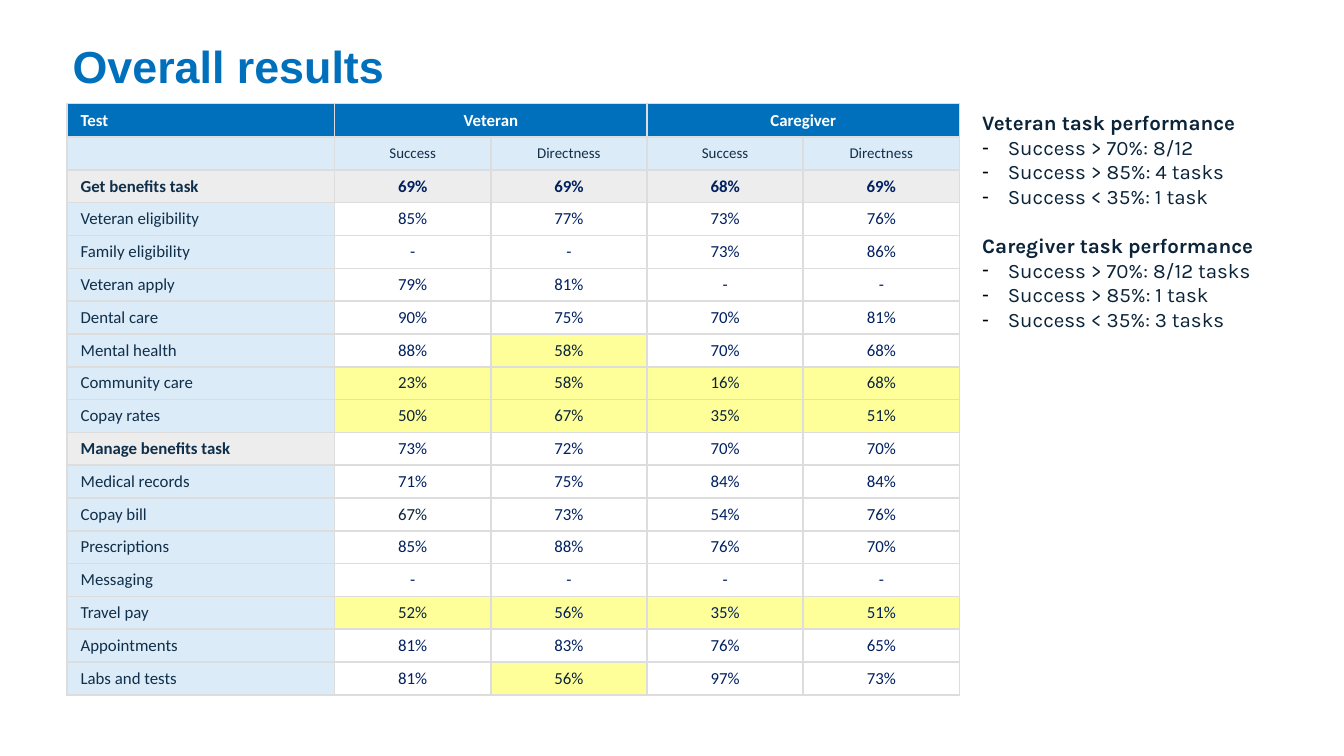
from lxml.etree import SubElement
from pptx import Presentation
from pptx.dml.color import RGBColor as RGB
from pptx.enum.text import MSO_ANCHOR as Anchor, MSO_AUTO_SIZE as AutoSize, PP_ALIGN as Align
from pptx.oxml import parse_xml
from pptx.oxml.ns import nsdecls, qn
from pptx.util import Inches, Pt

TITLE = "Overall results"
GROUPS = ["Veteran", "Caregiver"]
MEASURES = ["Success", "Directness"]
TASKS = [
    ("Get benefits task", "69% 69% 68% 69%"),
    ("Veteran eligibility", "85% 77% 73% 76%"),
    ("Family eligibility", "- - 73% 86%"),
    ("Veteran apply", "79% 81% - -"),
    ("Dental care", "90% 75% 70% 81%"),
    ("Mental health", "88% 58% 70% 68%"),
    ("Community care", "23% 58% 16% 68%"),
    ("Copay rates", "50% 67% 35% 51%"),
    ("Manage benefits task", "73% 72% 70% 70%"),
    ("Medical records", "71% 75% 84% 84%"),
    ("Copay bill", "67% 73% 54% 76%"),
    ("Prescriptions", "85% 88% 76% 70%"),
    ("Messaging", "- - - -"),
    ("Travel pay", "52% 56% 35% 51%"),
    ("Appointments", "81% 83% 76% 65%"),
    ("Labs and tests", "81% 56% 97% 73%"),
]
SECTIONS = {"Get benefits task": True, "Manage benefits task": False}
ALL = [1, 2, 3, 4]
HIGHLIGHTED = {"Mental health": [2], "Community care": ALL, "Copay rates": ALL,
               "Travel pay": ALL, "Labs and tests": [2]}
DARK = {**HIGHLIGHTED, "Travel pay": [1], "Copay bill": [1]}
FINDINGS = [
    ("Veteran task performance",
     ["Success > 70%: 8/12", "Success > 85%: 4 tasks", "Success < 35%: 1 task"]),
    ("Caregiver task performance",
     ["Success > 70%: 8/12 tasks", "Success > 85%: 1 task", "Success < 35%: 3 tasks"]),
]

THEME = {
    "blue": "0070BC", "pale": "DCEBF8", "grey": "EDEDED", "white": "FFFFFF",
    "yellow": "FFFF99", "rule": "DDDDDD", "label": "0F2F4A", "value": "002060",
    "ink": "0B2439", "bullet": "000000",
    "title_font": "Arial", "table_font": "Calibri", "notes_font": "Karla",
    "bullet_font": "Arial",
    "title_size": 24, "table_size": 9, "measure_size": 8, "notes_size": 11,
}
WIDTH = 10
HEIGHT = WIDTH * 9 / 16
TABLE_LEFT, TABLE_TOP, TABLE_WIDTH, TABLE_HEIGHT = 0.5, 0.77, 6.64, 4.4
LABEL_WIDTH, HEADING_HEIGHT = 1.99, 0.25
NOTES_LEFT, NOTES_WIDTH, NOTES_HEIGHT = 7.21, 2.52, 1.77


def apply(target, values):
    for key, value in values.items():
        setattr(target, key, value)


def write(paragraph, words, font, size, color, bold=False):
    run = paragraph.add_run()
    run.text = words
    apply(run.font, {"name": THEME[font], "size": Pt(THEME[size]), "bold": bold})
    run.font.color.rgb = RGB.from_string(THEME[color])


def add_box(slide, left, top, width, height):
    frame = slide.shapes.add_textbox(*map(Inches, (left, top, width, height))).text_frame
    frame.word_wrap = True
    return frame


def add_borders(cell):
    properties = cell._tc.get_or_add_tcPr()
    for position, side in enumerate("LRTB"):
        properties.insert(position, parse_xml(
            f'<a:ln{side} {nsdecls("a")} w="12700"><a:solidFill>'
            f'<a:srgbClr val="{THEME["rule"]}"/></a:solidFill></a:ln{side}>'))


def fill_cell(cell, words, fill, color, size="table_size", bold=False, centred=True):
    apply(cell, {"margin_left": Inches(0.1), "margin_right": Inches(0.1),
                 "margin_top": 0, "margin_bottom": 0, "vertical_anchor": Anchor.MIDDLE})
    cell.fill.solid()
    cell.fill.fore_color.rgb = RGB.from_string(THEME[fill])
    add_borders(cell)
    paragraph = cell.text_frame.paragraphs[0]
    paragraph.alignment = Align.CENTER if centred else Align.LEFT
    if words:
        write(paragraph, words, "table_font", size, color, bold)
    else:
        SubElement(paragraph._p, qn("a:endParaRPr"), sz=str(THEME[size] * 100))


def add_results(slide):
    columns = 1 + len(GROUPS) * len(MEASURES)
    rows = 2 + len(TASKS)
    value_width = (TABLE_WIDTH - LABEL_WIDTH) / (columns - 1)
    row_height = (TABLE_HEIGHT - HEADING_HEIGHT) / (rows - 1)
    table = slide.shapes.add_table(rows, columns, *map(Inches, (
        TABLE_LEFT, TABLE_TOP, TABLE_WIDTH, TABLE_HEIGHT))).table
    table.horz_banding = False
    for number, column in enumerate(table.columns):
        column.width = Inches(value_width if number else LABEL_WIDTH)
    for number, row in enumerate(table.rows):
        row.height = Inches(row_height if number else HEADING_HEIGHT)

    heading = ["Test"] + [name for group in GROUPS for name in (group, "")]
    for column, words in enumerate(heading):
        fill_cell(table.cell(0, column), words, "blue", "white",
                  bold=True, centred=column > 0)
    for column in range(1, columns, len(MEASURES)):
        table.cell(0, column).merge(table.cell(0, column + len(MEASURES) - 1))
    for column, words in enumerate([""] + MEASURES * len(GROUPS)):
        fill_cell(table.cell(1, column), words, "pale", "label", "measure_size")

    for row, (task, values) in enumerate(TASKS, 2):
        fill_cell(table.cell(row, 0), task, "grey" if task in SECTIONS else "pale",
                  "label", bold=task in SECTIONS, centred=False)
        emphasised = SECTIONS.get(task, False)
        for column, value in enumerate(values.split(), 1):
            fill = "yellow" if column in HIGHLIGHTED.get(task, []) else "white"
            color = "ink" if column in DARK.get(task, []) else "value"
            fill_cell(table.cell(row, column), value, "grey" if emphasised else fill,
                      color, bold=emphasised)


def add_dash(paragraph):
    properties = paragraph._p.get_or_add_pPr()
    indent = Inches(0.19)
    properties.set("marL", str(indent))
    properties.set("indent", str(-indent))
    tint = SubElement(properties, qn("a:buClr"))
    SubElement(tint, qn("a:srgbClr"), val=THEME["bullet"])
    SubElement(properties, qn("a:buFont"), typeface=THEME["bullet_font"])
    SubElement(properties, qn("a:buChar"), char="-")


def add_findings(slide):
    notes = add_box(slide, NOTES_LEFT, TABLE_TOP, NOTES_WIDTH, NOTES_HEIGHT)
    notes.auto_size = AutoSize.SHAPE_TO_FIT_TEXT
    for number, (heading, points) in enumerate(FINDINGS):
        paragraph = notes.add_paragraph() if number else notes.paragraphs[0]
        if number:
            paragraph.space_before = Pt(13)
        write(paragraph, heading, "notes_font", "notes_size", "ink", True)
        for point in points:
            paragraph = notes.add_paragraph()
            add_dash(paragraph)
            write(paragraph, point, "notes_font", "notes_size", "ink")


def main():
    deck = Presentation()
    apply(deck, {"slide_width": Inches(WIDTH), "slide_height": Inches(HEIGHT)})
    slide = deck.slides.add_slide(deck.slide_layouts[6])
    title = add_box(slide, TABLE_LEFT, 0.25, 8.25, 0.69)
    apply(title, {f"margin_{side}": Inches(0.04)
                  for side in ("left", "top", "right", "bottom")})
    write(title.paragraphs[0], TITLE, "title_font", "title_size", "blue", True)
    add_results(slide)
    add_findings(slide)
    deck.save("out.pptx")


if __name__ == "__main__":
    main()
